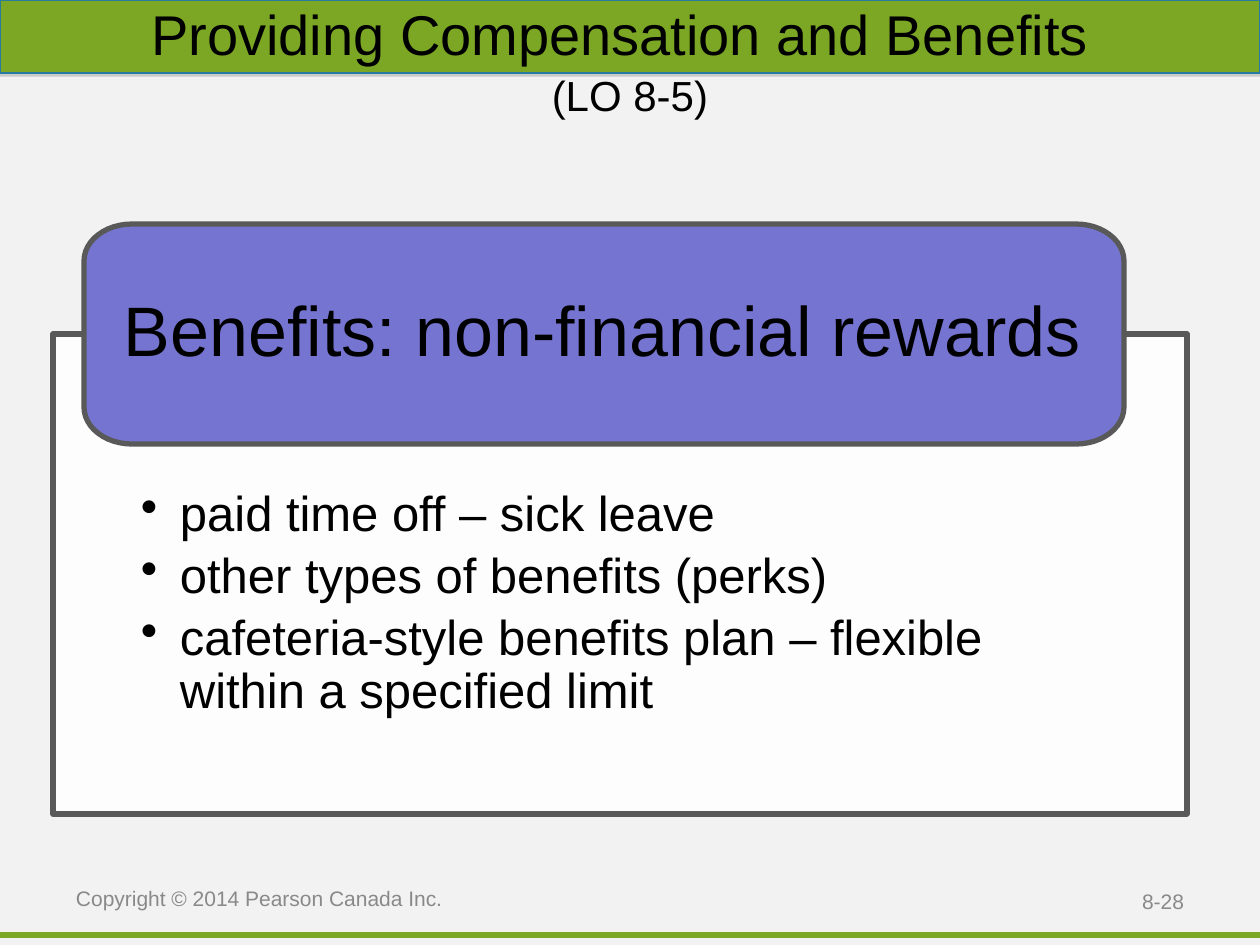
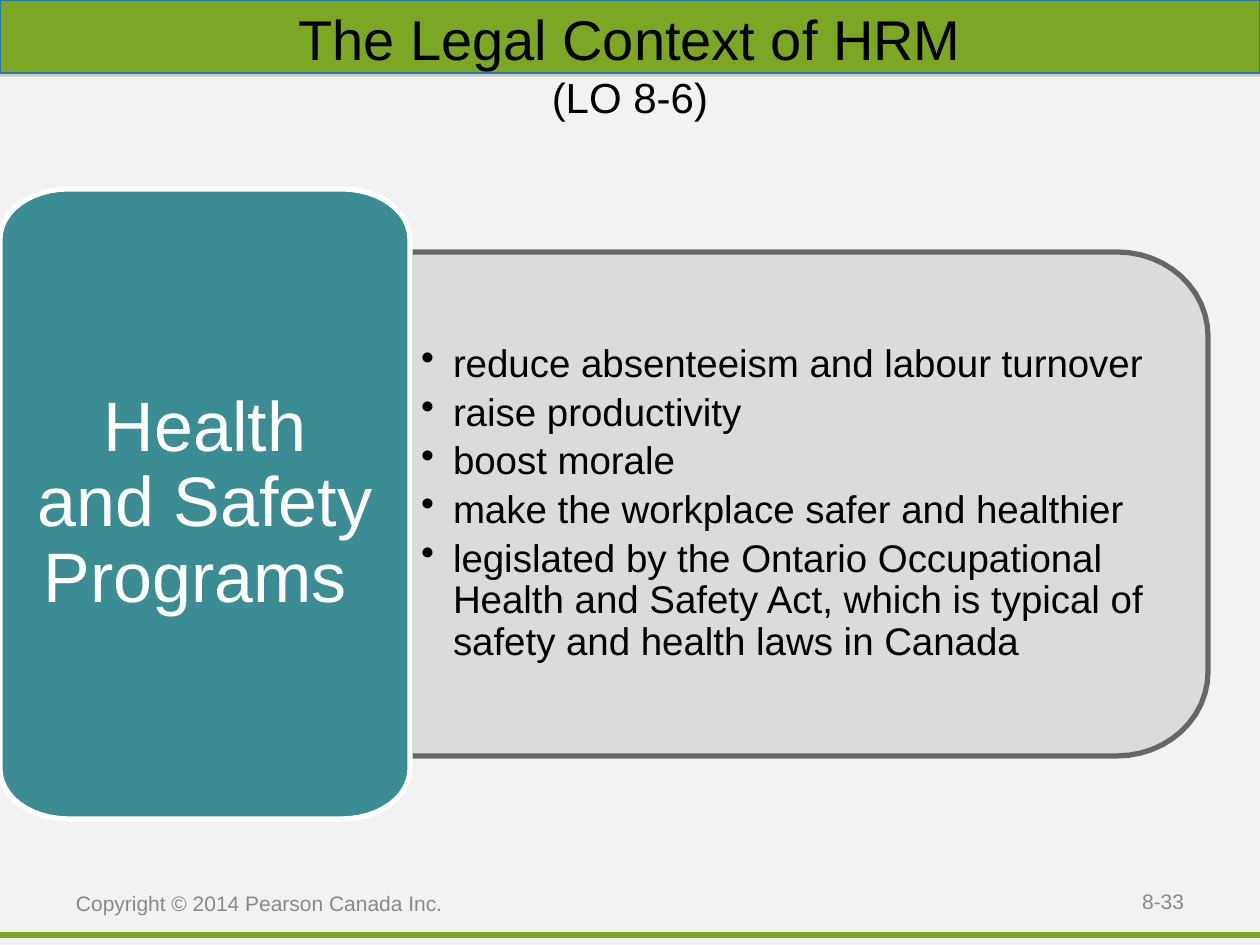
import math
from lxml import etree
from pptx import Presentation
from pptx.dml.color import RGBColor
from pptx.enum.shapes import MSO_CONNECTOR, MSO_SHAPE
from pptx.enum.text import MSO_ANCHOR, PP_ALIGN
from pptx.oxml.ns import qn
from pptx.util import Emu, Pt

PX = 914400 / 126
W, H = 1260, 945
FONT = "Arial"
RECT = MSO_SHAPE.RECTANGLE
STRAIGHT = MSO_CONNECTOR.STRAIGHT
TOP, MIDDLE = MSO_ANCHOR.TOP, MSO_ANCHOR.MIDDLE
LEFT, CENTER, RIGHT = PP_ALIGN.LEFT, PP_ALIGN.CENTER, PP_ALIGN.RIGHT
CORNER_STEPS = 12
COLORS = {
    "background": "F2F2F2",
    "green": "7CA724",
    "band_edge": "287A9E",
    "shadow": "808080",
    "footer": "898989",
    "text": "000000",
    "white": "FFFFFF",
    "outline": "595959",
    "panel": "D9D9D9",
    "violet": "7575D1",
    "teal": "3C8C93",
}


def px(*values):
    return [Emu(round(v * PX)) for v in values]


def color(name):
    return RGBColor.from_string(COLORS[name])


def sub(parent, tag, **attrs):
    return etree.SubElement(parent, qn(tag), attrs)


def style_shape(sp, fill, line, width=3):
    sp.shadow.inherit = False
    sp.fill.solid()
    sp.fill.fore_color.rgb = color(fill)
    sp.line.color.rgb = color(line)
    sp.line.width = Pt(width)
    return sp


def fade(sp, query, percent=90):
    for clr in sp._element.spPr.xpath(query):
        sub(clr, "a:alpha", val=str(percent * 1000))


def set_font(font, size, name="text"):
    font.name = FONT
    font.size = Pt(size)
    font.color.rgb = color(name)


def set_frame(sp, insets, anchor=MIDDLE):
    tf = sp.text_frame
    tf.word_wrap = True
    tf.vertical_anchor = anchor
    tf.margin_left, tf.margin_top, tf.margin_right, tf.margin_bottom = px(*insets)
    return tf


def write(sp, text, size, name, insets, align=LEFT):
    p = set_frame(sp, insets).paragraphs[0]
    p.text = text
    p.alignment = align
    set_font(p.font, size, name)
    return p


def add_label(s, text, box, align=LEFT):
    write(s.shapes.add_textbox(*px(*box)), text, 12, "footer", (13, 6, 13, 6), align)


def add_heading(sp, text, name, insets, align=LEFT):
    p = write(sp, text, 40, name, insets, align)
    p.line_spacing = 0.9
    p.space_after = Pt(17.5)


def add_bullets(sp, items, size, indent, gap, insets, anchor):
    tf = set_frame(sp, insets, anchor)
    for i, item in enumerate(items):
        p = tf.add_paragraph() if i else tf.paragraphs[0]
        p.text = item
        p.alignment = LEFT
        p.line_spacing = 0.9
        p.space_after = Pt(gap)
        pPr = p._p.get_or_add_pPr()
        hang = px(indent)[0]
        pPr.set("marL", str(hang))
        pPr.set("indent", str(-hang))
        sub(sub(pPr, "a:buClr"), "a:srgbClr", val=COLORS["text"])
        sub(pPr, "a:buChar", char="•")
        set_font(p.font, size)


def add_rounded(s, x, y, w, h, rx, ry, round_left=True):
    corners = [(x + w, y, 1, -1), (x + w, y + h, 1, 1),
               (x, y + h, -1, 1), (x, y, -1, -1)]
    points = []
    for i, (cx, cy, dx, dy) in enumerate(corners):
        if dx < 0 and not round_left:
            points.append((cx, cy))
            continue
        for step in range(CORNER_STEPS + 1):
            a = math.pi / 2 * (i - 1 + step / CORNER_STEPS)
            points.append((cx - dx * rx + rx * math.cos(a),
                           cy - dy * ry + ry * math.sin(a)))
    points = [px(*point) for point in points]
    builder = s.shapes.build_freeform(*points[0])
    builder.add_line_segments(points[1:], close=True)
    return builder.convert_to_shape()


def add_band(s):
    band = style_shape(s.shapes.add_shape(RECT, *px(0, 0, W, 73)), "green", "band_edge", 0.75)
    effects = band._element.spPr.find(qn("a:effectLst"))
    shadow = sub(effects, "a:outerShdw", blurRad="0", dist=str(Pt(1.8)), dir="5400000",
                 algn="t", rotWithShape="0")
    sub(sub(shadow, "a:srgbClr", val=COLORS["shadow"]), "a:alpha", val="35000")


def add_footer_line(s):
    line = s.shapes.add_connector(STRAIGHT, *px(0, 935, W, 935))
    line.line.color.rgb = color("green")
    line.line.width = Pt(3)
    sub(line._element.spPr, "a:effectLst")


def add_title(s, text, objective, height, spacer=None):
    sp = s.shapes.add_textbox(*px(0, 0, W, height))
    p = set_frame(sp, (32, 32, 32, 32)).paragraphs[0]
    p.alignment = CENTER
    set_font(p.font, 32)
    p.add_run().text = text
    if spacer:
        r = p.add_run()
        r.text = " "
        r.font.size = Pt(spacer)
    p.add_line_break()
    r = p.add_run()
    r.text = objective
    r.font.size = Pt(24)


def add_slide(prs, title, objective, title_height, number, footer_top, spacer=None):
    s = prs.slides.add_slide(prs.slide_layouts[6])
    s.background.fill.solid()
    s.background.fill.fore_color.rgb = color("background")
    add_footer_line(s)
    add_band(s)
    add_title(s, title, objective, title_height, spacer)
    add_label(s, number, (903, 876, 294, 50), RIGHT)
    add_label(s, "Copyright © 2014 Pearson Canada Inc.", (63, footer_top, 399, H - footer_top))
    return s


def benefits_slide(prs):
    s = add_slide(prs, "Providing Compensation and Benefits", "(LO 8-5)", 105,
                  "8-28", 851, spacer=40)
    card = style_shape(s.shapes.add_shape(RECT, *px(53, 334, 1134, 480)), "white", "outline")
    fade(card, "./a:solidFill/a:srgbClr")
    add_bullets(card, [
        "paid time off – sick leave",
        "other types of benefits (perks)",
        "cafeteria-style benefits plan – flexible within a specified limit",
    ], 28, 39, 5.2, (88, 155, 88, 28), TOP)
    header = style_shape(add_rounded(s, 84, 224, 1040, 220, 48, 37), "violet", "outline")
    add_heading(header, "Benefits: non-financial rewards", "text", (40, 11, 40, 11))


def safety_slide(prs):
    s = add_slide(prs, "The Legal Context of HRM", "(LO 8-6)", 126, "8-33", 861)
    panel = style_shape(add_rounded(s, 410, 252, 798, 504, 91, 84, round_left=False),
                        "panel", "outline")
    fade(panel, ".//a:srgbClr")
    add_bullets(panel, [
        "reduce absenteeism and labour turnover",
        "raise productivity",
        "boost morale",
        "make the workplace safer and healthier",
        "legislated by the Ontario Occupational Health and Safety Act, "
        "which is typical of safety and health laws in Canada",
    ], 22, 32, 4.1, (11, 30, 37, 30), MIDDLE)
    tab = style_shape(add_rounded(s, 0, 189, 410, 630, 68, 50), "teal", "white")
    add_heading(tab, "Health and Safety Programs ", "white", (36, 25, 36, 25), CENTER)


def main():
    prs = Presentation()
    prs.slide_width, prs.slide_height = px(W, H)
    benefits_slide(prs)
    safety_slide(prs)
    prs.save("out.pptx")


if __name__ == "__main__":
    main()
